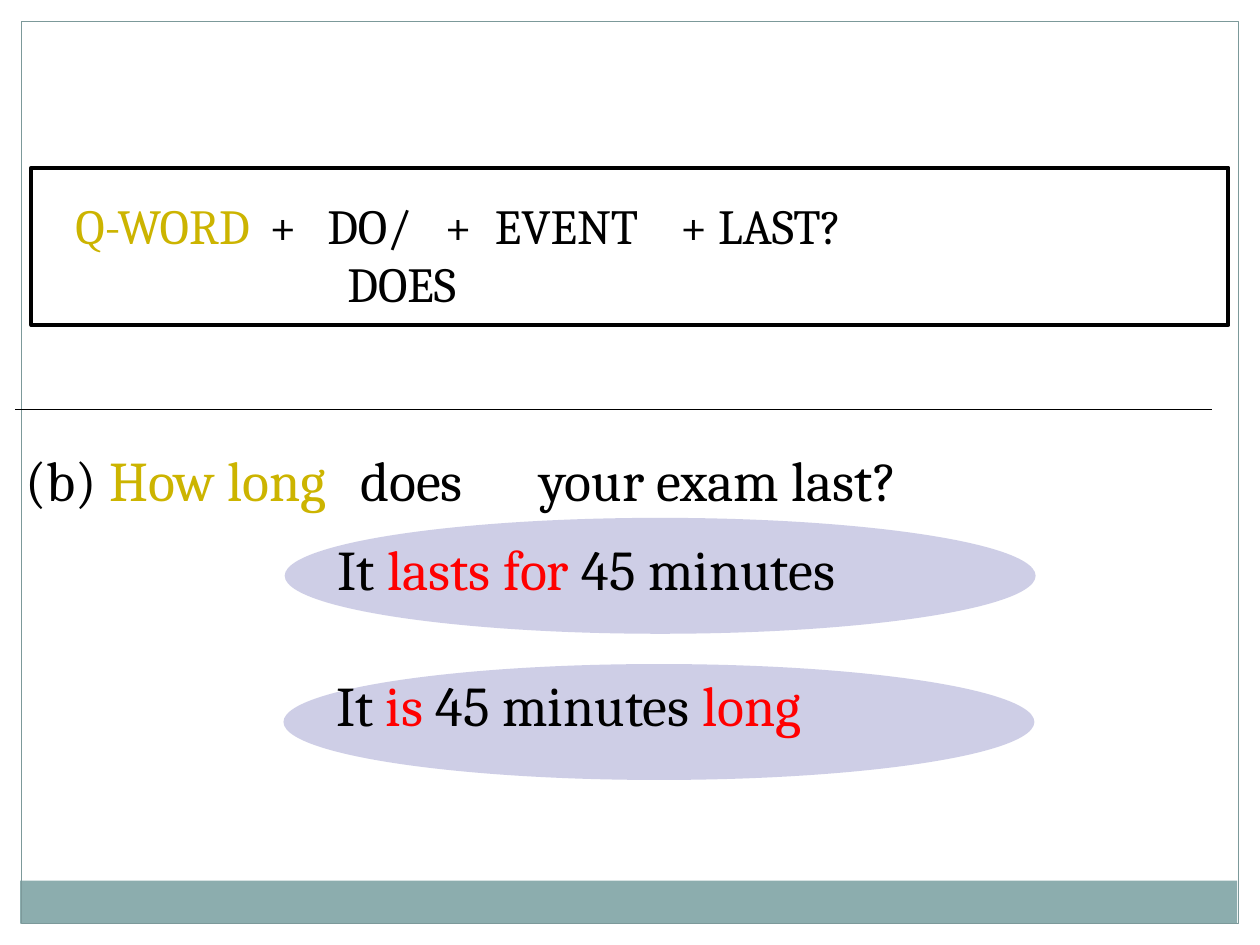
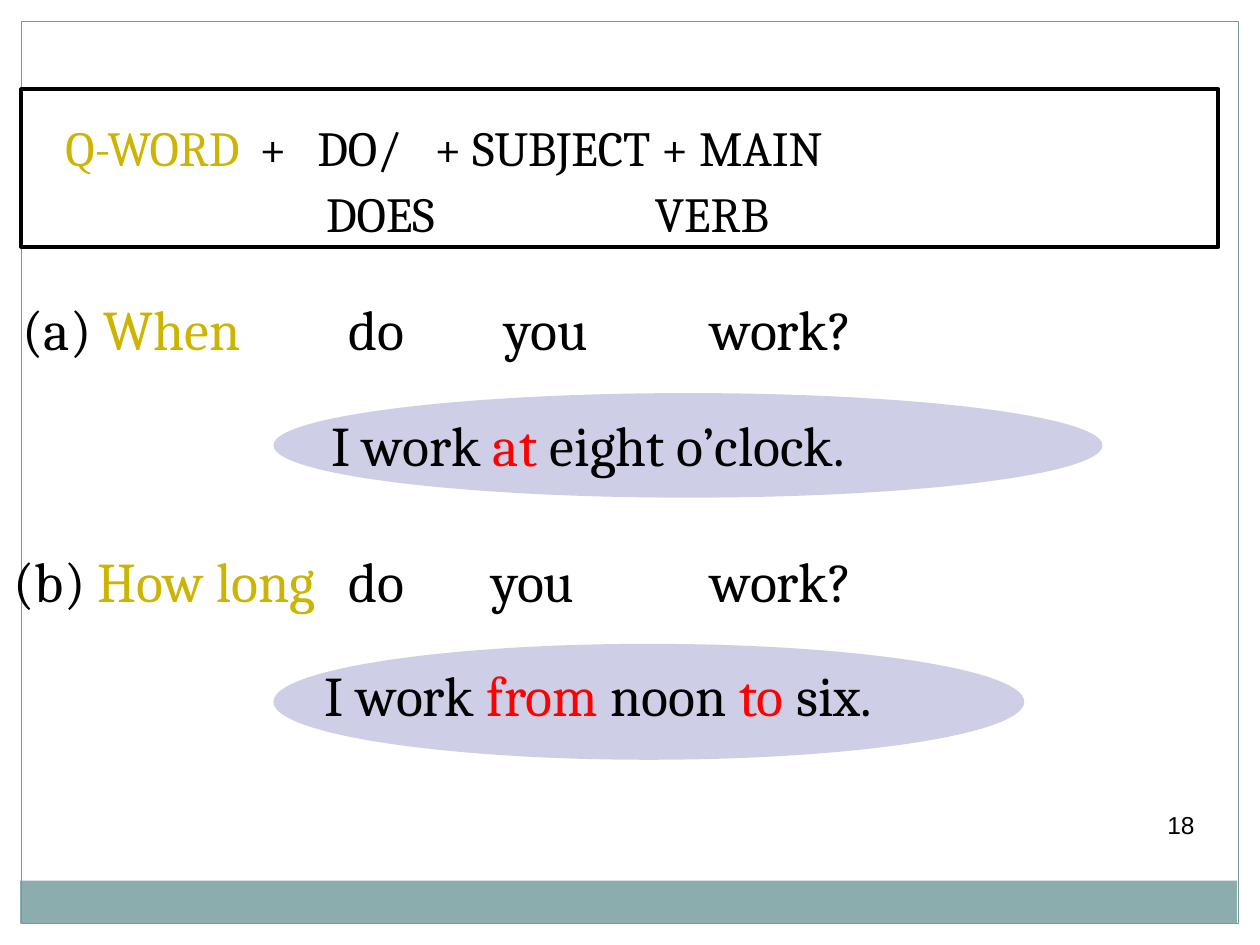
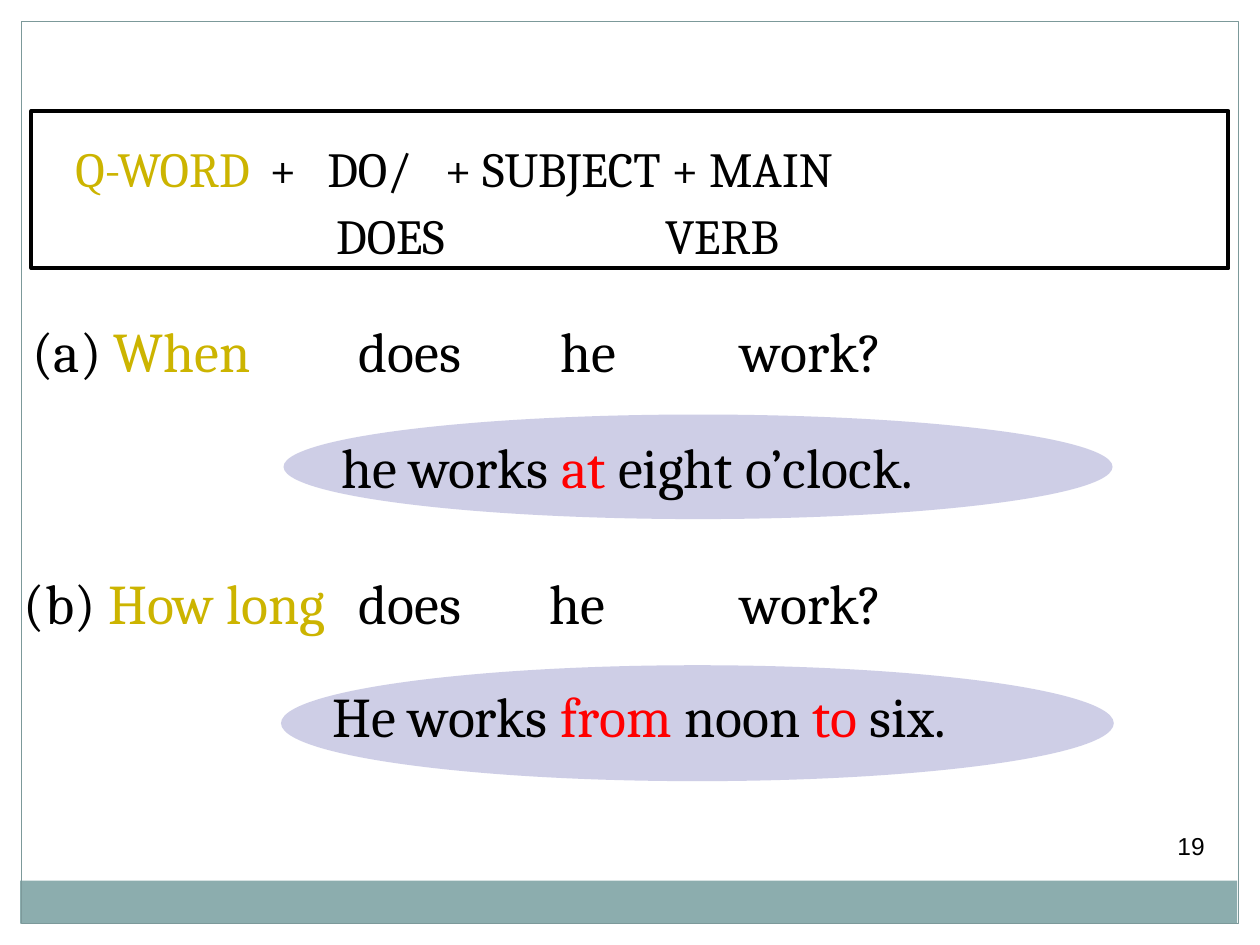
from typing import NamedTuple, Optional

from lxml.etree import SubElement
from pptx import Presentation
from pptx.dml.color import RGBColor
from pptx.enum.shapes import MSO_CONNECTOR, MSO_SHAPE
from pptx.enum.text import PP_ALIGN
from pptx.oxml.ns import qn
from pptx.util import Inches, Pt

COLORS = {
    "ink": "000000",
    "question": "CCB400",
    "answer": "FF0000",
    "bubble": "333399",
    "band": "8CADAE",
    "frame": "7C999A",
}
SERIF, SANS = "Cambria", "Arial"
FORMULA_SIZE, SENTENCE_SIZE, NUMBER_SIZE = 28, 32, 14
BUBBLE_OPACITY = 24


class Area(NamedTuple):
    left: float
    top: float
    width: float
    height: float

    def moved(self, right: float, down: float) -> "Area":
        return Area(self.left + right, self.top + down, self.width, self.height)

    def lengths(self) -> list:
        return [Inches(value) for value in self]


class Span(NamedTuple):
    text: str
    color: str = "ink"


class Line(NamedTuple):
    """One paragraph; tabs are the columns, in inches from the text edge."""
    spans: list[Span]
    tabs: tuple[float, ...] = ()
    space_before: float = 0


class Practice(NamedTuple):
    """Two questions with answers, placed by an offset from the base layout."""
    number: str
    right: float
    down: float
    auxiliary: str
    subject: str
    when_tabs: tuple[float, ...]
    how_long_tabs: tuple[float, ...]
    when_answer: str
    how_long_answer: str
    how_long_bubble: Area
    how_long_text: Area


def rgb(name: str) -> RGBColor:
    return RGBColor.from_string(COLORS[name])


def add_figure(page, kind, area: Area, fill: Optional[str] = None,
               line: Optional[str] = None, line_width: float = 1,
               opacity: Optional[int] = None) -> None:
    figure = page.shapes.add_shape(kind, *area.lengths())
    figure.shadow.inherit = False
    if fill:
        figure.fill.solid()
        figure.fill.fore_color.rgb = rgb(fill)
    else:
        figure.fill.background()
    if opacity is not None:
        color = figure.fill._xPr.find(qn("a:solidFill"))[0]
        SubElement(color, qn("a:alpha"), val=str(opacity * 1000))
    if line:
        figure.line.color.rgb = rgb(line)
        figure.line.width = Pt(line_width)
    else:
        figure.line.fill.background()


def add_rule(page, left: float, top: float) -> None:
    rule = page.shapes.add_connector(
        MSO_CONNECTOR.STRAIGHT, Inches(left), Inches(top), Inches(left + 9.5), Inches(top))
    rule.line.color.rgb = rgb("ink")
    rule.line.width = Pt(1)
    SubElement(rule._element.spPr, qn("a:effectLst"))


def add_text(page, area: Area, lines: list[Line], size: float = SENTENCE_SIZE,
             font: str = SERIF, align=PP_ALIGN.LEFT) -> None:
    box = page.shapes.add_textbox(*area.lengths())
    frame = box.text_frame
    frame.word_wrap = True
    for index, line in enumerate(lines):
        para = frame.add_paragraph() if index else frame.paragraphs[0]
        para.alignment = align
        if line.space_before:
            para.space_before = Pt(line.space_before)
        if line.tabs:
            tab_list = SubElement(para._p.get_or_add_pPr(), qn("a:tabLst"))
            for tab in line.tabs:
                SubElement(tab_list, qn("a:tab"), pos=str(Inches(tab)), algn="l")
        para.font.name = font
        para.font.size = Pt(size)
        for text, color in line.spans:
            span = para.add_run()
            span.text = text
            span.font.color.rgb = rgb(color)


def add_formula(page, frame: Area, text_height: float, lines: list[Line]) -> None:
    add_text(page, Area(frame.left + 0.25, frame.top + 0.17, 9, text_height),
             lines, FORMULA_SIZE)
    add_figure(page, MSO_SHAPE.RECTANGLE, frame, line="ink", line_width=2.25)


def add_question(page, area: Area, letter: str, word: str, rest: str,
                 tabs: tuple[float, ...]) -> None:
    spans = [Span(f"({letter}) "), Span(word, "question"), Span(rest)]
    add_text(page, area, [Line(spans, tabs)])


def add_answer(page, bubble: Area, text_area: Area, answer: str) -> None:
    """Write an answer on a bubble; parts between bars are highlighted."""
    add_figure(page, MSO_SHAPE.OVAL, bubble, fill="bubble", opacity=BUBBLE_OPACITY)
    spans = [Span(part, "answer" if index % 2 else "ink")
             for index, part in enumerate(answer.split("|")) if part]
    add_text(page, text_area, [Line(spans)])


def add_page(deck):
    page = deck.slides.add_slide(deck.slide_layouts[6])
    add_figure(page, MSO_SHAPE.RECTANGLE, Area(0.16, 6.99, 9.66, 0.34), fill="band")
    add_figure(page, MSO_SHAPE.RECTANGLE, Area(0.17, 0.17, 9.66, 7.16),
               line="frame", line_width=0.75)
    return page


def add_event_page(deck) -> None:
    page = add_page(deck)
    add_rule(page, 0.12, 3.25)
    add_formula(page, Area(0.25, 1.33, 9.5, 1.25), 1.04, [
        Line([Span("Q-WORD", "question"), Span("\t+\tDO/\t+\tEVENT\t+ LAST?")],
             (1.54, 2.0, 2.93, 3.33, 4.8)),
        Line([Span("\tDOES")], (2.16,)),
    ])
    add_question(page, Area(0.1, 3.49, 8.25, 0.64), "b", "How long",
                 "\tdoes\tyour exam last?", (2.66, 4.08))
    add_answer(page, Area(2.26, 4.11, 5.96, 0.92), Area(2.58, 4.19, 5.77, 0.64),
               "It |lasts for |45 minutes")
    add_answer(page, Area(2.25, 5.27, 5.96, 0.92), Area(2.57, 5.27, 5.77, 0.64),
               "It |is |45 minutes |long")


def add_practice_page(deck, practice: Practice) -> None:
    page = add_page(deck)

    def place(*area: float) -> Area:
        return Area(*area).moved(practice.right, practice.down)

    frame = place(0.17, 0.71, 9.5, 1.25)
    add_rule(page, frame.left, frame.top + frame.height)
    add_formula(page, frame, 1.1, [
        Line([Span("Q-WORD", "question"), Span("\t+\tDO/\t+ SUBJECT + MAIN")],
             (1.54, 2.0, 2.93)),
        Line([Span("\tDOES\tVERB")], (2.07, 4.68), space_before=4.5),
    ])
    rest = f"\t{practice.auxiliary}\t{practice.subject}\twork?"
    add_question(page, place(0.08, 2.29, 8.2, 0.64), "a", "When", rest,
                 practice.when_tabs)
    add_question(page, place(0.01, 4.29, 8.2, 0.64), "b", "How long", rest,
                 practice.how_long_tabs)
    add_answer(page, place(2.17, 3.12, 6.58, 0.83), place(2.53, 3.21, 6.1, 0.63),
               practice.when_answer)
    add_answer(page, practice.how_long_bubble, practice.how_long_text,
               practice.how_long_answer)
    add_text(page, place(6.25, 6.38, 3.33, 0.4), [Line([Span(practice.number)])],
             NUMBER_SIZE, SANS, PP_ALIGN.RIGHT)


PRACTICES = [
    Practice("18", 0, 0, "do", "you", (2.59, 3.83, 5.46), (2.66, 3.79, 5.53),
             "I work |at |eight o’clock.", "I work |from |noon |to |six.",
             Area(2.17, 5.11, 5.96, 0.92), Area(2.48, 5.19, 5.77, 0.64)),
    Practice("19", 0.08, 0.17, "does", "he", (2.59, 4.19, 5.62), (2.66, 4.17, 5.69),
             "he works |at |eight o’clock.", "He works |from |noon |to |six.",
             Area(2.23, 5.28, 6.61, 0.92), Area(2.54, 5.36, 6.39, 0.64)),
]


def main() -> None:
    deck = Presentation()
    deck.slide_width, deck.slide_height = Inches(10), Inches(7.5)
    add_event_page(deck)
    for practice in PRACTICES:
        add_practice_page(deck, practice)
    deck.save("out.pptx")


if __name__ == "__main__":
    main()
